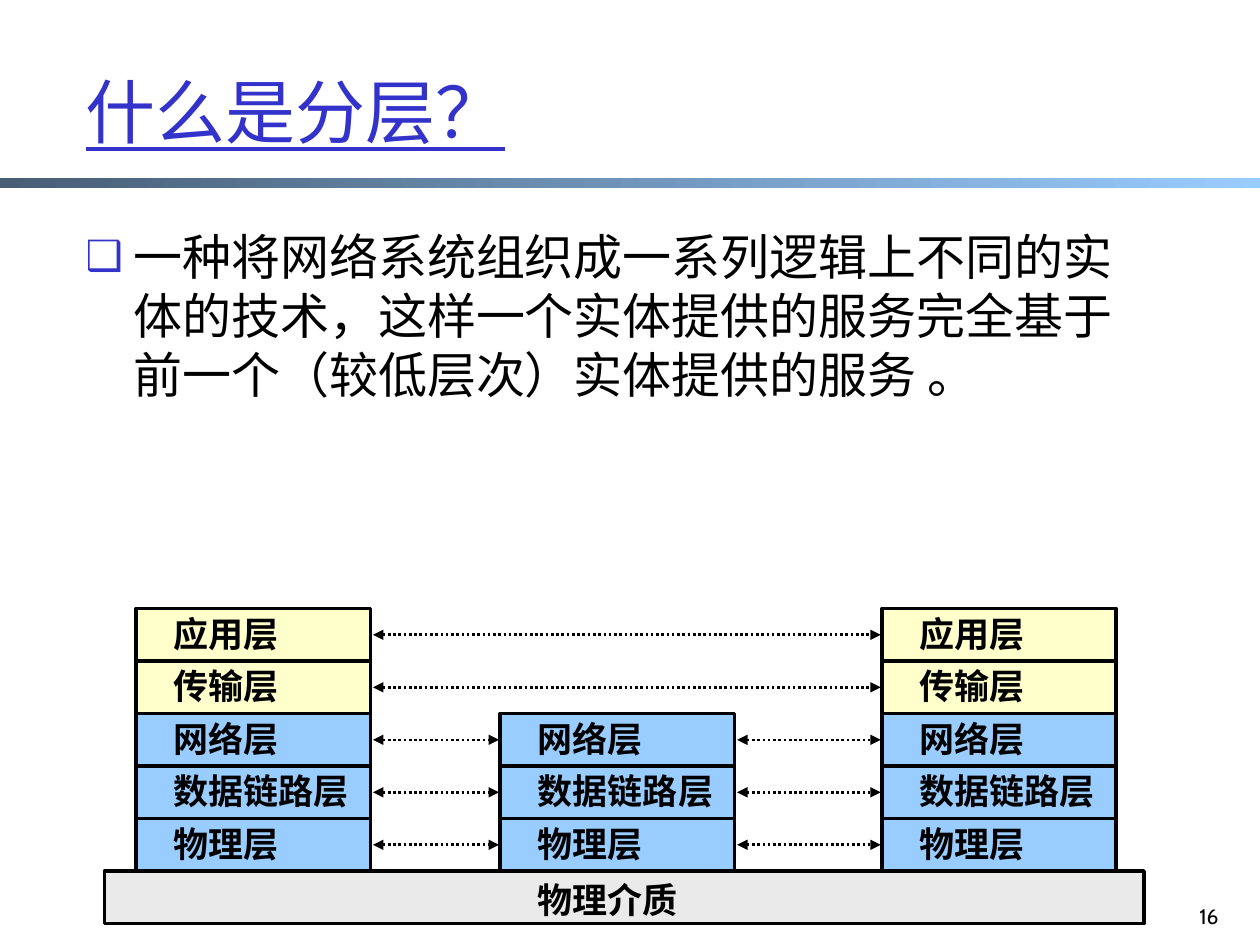
import pptx
import pptx.dml.color
import pptx.enum.dml
import pptx.enum.shapes
import pptx.enum.text
import pptx.oxml.ns
import pptx.util
from lxml import etree

Inches = pptx.util.Inches
Pt = pptx.util.Pt
qn = pptx.oxml.ns.qn

COLORS = {
    "ink": "000000",
    "accent": "3333CC",
    "host": "FFFFCC",
    "network": "99CCFF",
    "medium": "EAEAEA",
    "bar_dark": "475E76",
}
LAYERS = [
    ("应用层", "host", 1.05),
    ("传输层", "host", 1.04),
    ("网络层", "network", 1.05),
    ("数据链路层", "network", 1.61),
    ("物理层", "network", 1.05),
]
STACKS = [(1.08, 0), (7, 0), (3.97, 2)]
STACK_TOP = 4.83
LAYER_WIDTH = 1.86
LAYER_HEIGHT = 1.25 / 3


def rgb(name):
    return pptx.dml.color.RGBColor.from_string(COLORS[name])


def layer_top(level):
    return STACK_TOP + level * LAYER_HEIGHT


def place(shape, left, top, width, height):
    shape.left, shape.top = Inches(left), Inches(top)
    shape.width, shape.height = Inches(width), Inches(height)


def style(paragraph, size, color="ink", bold=False, face="Arial"):
    paragraph.alignment = pptx.enum.text.PP_ALIGN.LEFT
    for run in paragraph.runs:
        run.font.size = Pt(size)
        run.font.name = face
        run.font.bold = bold
        run.font.color.rgb = rgb(color)


def fill_title(title, text):
    place(title, 0.58, 0.25, 8.5, 1.25)
    title.text_frame.text = text
    title.text_frame.vertical_anchor = pptx.enum.text.MSO_ANCHOR.MIDDLE
    heading = title.text_frame.paragraphs[0]
    style(heading, 40, "accent")
    heading.runs[0].font.underline = True


def fill_body(body, text):
    place(body, 0.58, 1.75, 8.5, 5.08)
    body.text_frame.text = text
    definition = body.text_frame.paragraphs[0]
    definition.space_before = Pt(0)
    properties = definition._p.get_or_add_pPr()
    properties.set("marL", str(Inches(0.38)))
    properties.set("indent", str(-Inches(0.38)))
    bullet_color = etree.SubElement(properties, qn("a:buClr"))
    etree.SubElement(bullet_color, qn("a:srgbClr"), val=COLORS["accent"])
    etree.SubElement(properties, qn("a:buSzPct"), val="85000")
    etree.SubElement(properties, qn("a:buChar"), char="❑")
    style(definition, 28)


def add_block(slide, left, top, width, height):
    block = slide.shapes.add_shape(
        pptx.enum.shapes.MSO_SHAPE.RECTANGLE,
        Inches(left), Inches(top), Inches(width), Inches(height))
    block.shadow.inherit = False
    return block


def add_title_bar(slide):
    bar = add_block(slide, 0, 1.41, 10, 0.08)
    bar.line.fill.background()
    bar.fill.gradient()
    bar.fill.gradient_angle = 0
    for stop, color in zip(bar.fill.gradient_stops, ("bar_dark", "network")):
        stop.color.rgb = rgb(color)


def add_layer(slide, left, top, width, color):
    layer = add_block(slide, left, top, width, LAYER_HEIGHT)
    layer.fill.solid()
    layer.fill.fore_color.rgb = rgb(color)
    layer.line.color.rgb = rgb("ink")
    layer.line.width = Pt(2)


def add_label(slide, text, left, top, width):
    label = slide.shapes.add_textbox(
        Inches(left), Inches(top), Inches(width), Inches(0.44))
    label.text_frame.text = text
    label.text_frame.word_wrap = False
    label.text_frame.auto_size = pptx.enum.text.MSO_AUTO_SIZE.SHAPE_TO_FIT_TEXT
    style(label.text_frame.paragraphs[0], 20, bold=True)


def add_stack(slide, left, first_level):
    for level, (name, color, label_width) in enumerate(LAYERS):
        if level >= first_level:
            top = layer_top(level)
            add_layer(slide, left, top, LAYER_WIDTH, color)
            add_label(slide, name, left + 0.2, top - 0.02, label_width)


def add_peer_link(slide, start, end, level):
    y = Inches(layer_top(level) + LAYER_HEIGHT / 2)
    link = slide.shapes.add_connector(
        pptx.enum.shapes.MSO_CONNECTOR.STRAIGHT,
        Inches(start), y, Inches(end), y)
    link.line.color.rgb = rgb("ink")
    link.line.width = Pt(1.5)
    link.line.dash_style = pptx.enum.dml.MSO_LINE.ROUND_DOT
    outline = link.line._get_or_add_ln()
    for arrowhead in ("a:headEnd", "a:tailEnd"):
        etree.SubElement(outline, qn(arrowhead), type="triangle")
    etree.SubElement(link._element.spPr, qn("a:effectLst"))


def add_page_number(slide, number):
    page = slide.shapes.add_textbox(
        Inches(9.42), Inches(6.92), Inches(0.5), Inches(0.5))
    page.text_frame.text = number
    page.text_frame.word_wrap = True
    page.text_frame.vertical_anchor = pptx.enum.text.MSO_ANCHOR.BOTTOM
    style(page.text_frame.paragraphs[0], 12, face="Cabin")


def main():
    deck = pptx.Presentation()
    deck.slide_width, deck.slide_height = Inches(10), Inches(7.5)
    slide = deck.slides.add_slide(deck.slide_layouts[1])

    add_title_bar(slide)
    fill_title(slide.shapes.title, "什么是分层？")
    fill_body(
        slide.placeholders[1],
        "一种将网络系统组织成一系列逻辑上不同的实体的技术，"
        "这样一个实体提供的服务完全基于前一个（较低层次）实体提供的服务 。")

    for left, first_level in STACKS:
        add_stack(slide, left, first_level)
    medium_top = layer_top(len(LAYERS))
    add_layer(slide, 0.83, medium_top, 8.25, "medium")
    add_label(slide, "物理介质", 4.17, medium_top + 0.01, 1.33)

    for level in range(len(LAYERS)):
        spans = [(2.96, 6.99)] if level < 2 else [(2.96, 3.96), (5.85, 6.99)]
        for start, end in spans:
            add_peer_link(slide, start, end, level)

    add_page_number(slide, "16")
    deck.save("out.pptx")


if __name__ == "__main__":
    main()
